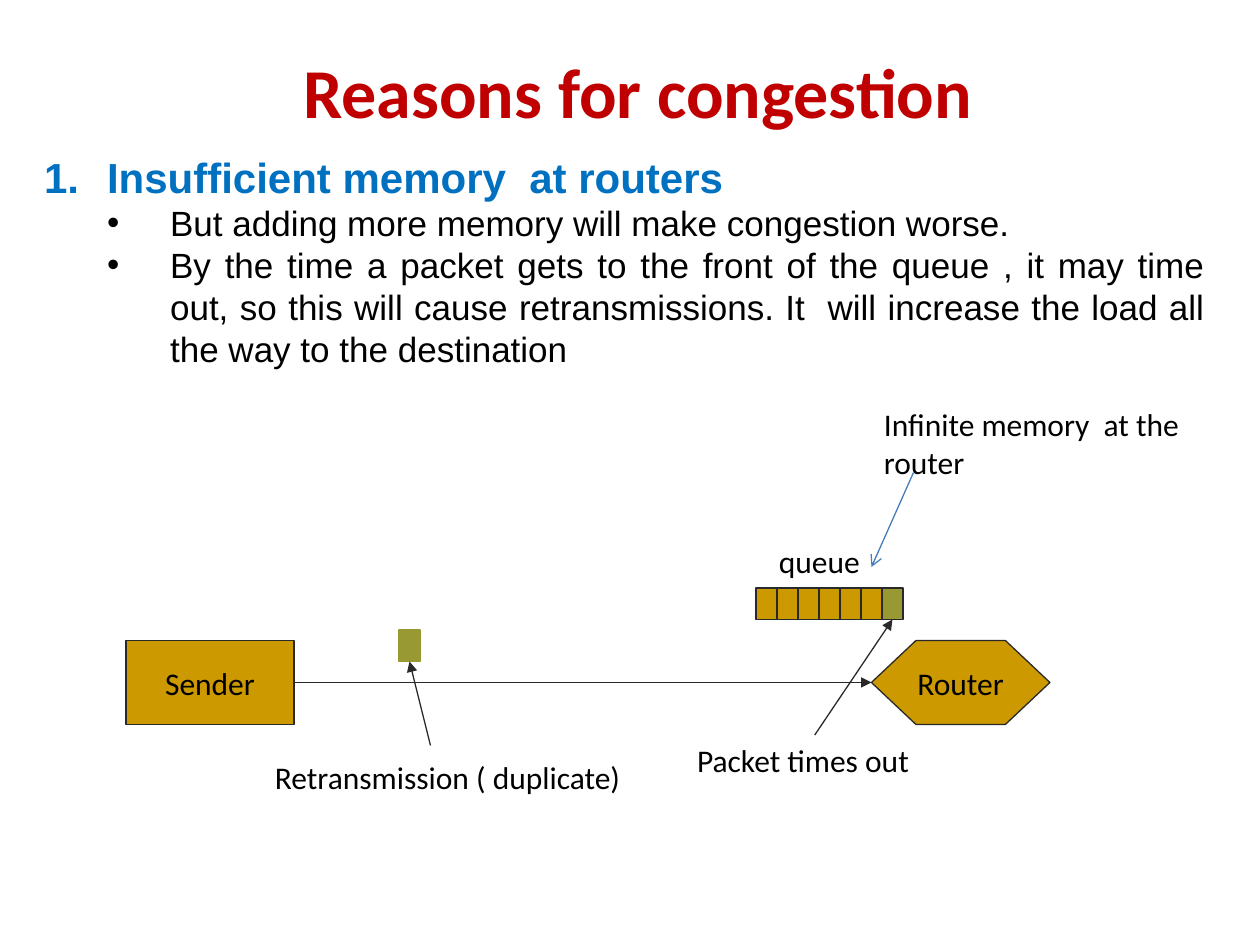
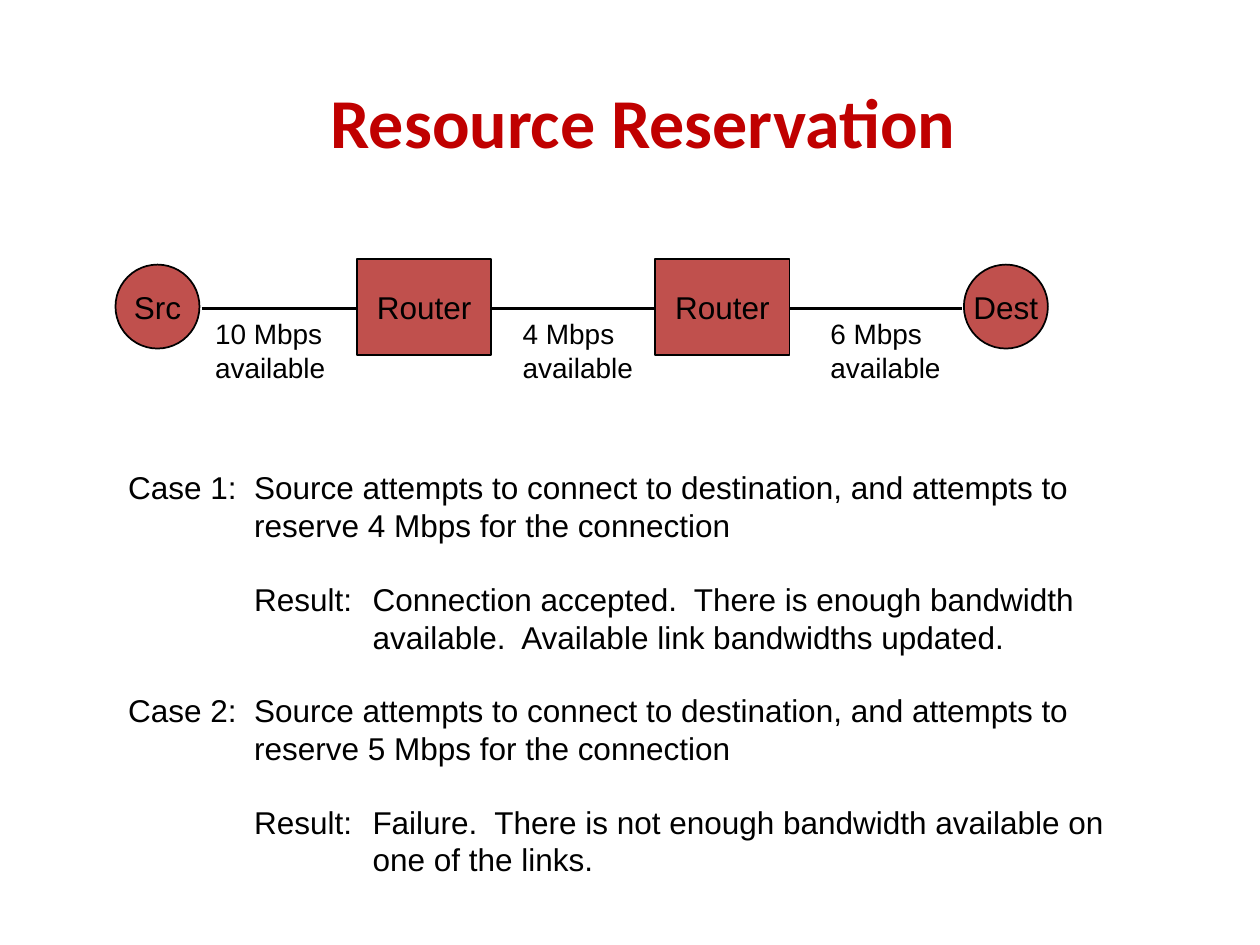
from lxml import etree
from pptx import Presentation
from pptx.dml.color import RGBColor
from pptx.enum.shapes import MSO_CONNECTOR, MSO_SHAPE
from pptx.enum.text import MSO_ANCHOR, MSO_AUTO_SIZE, PP_ALIGN
from pptx.oxml.ns import qn
from pptx.util import Inches, Pt

RED = RGBColor(0xC0, 0x00, 0x00)
BLUE = RGBColor(0x00, 0x70, 0xC0)
STEEL = RGBColor(0x4A, 0x7E, 0xBB)
BLACK = RGBColor(0x00, 0x00, 0x00)
INK = RGBColor(0x29, 0x29, 0x29)
GOLD = RGBColor(0xCC, 0x99, 0x00)
OLIVE = RGBColor(0x99, 0x99, 0x33)
BRICK = RGBColor(0xC0, 0x50, 0x4D)

RECT, HEX, OVAL = MSO_SHAPE.RECTANGLE, MSO_SHAPE.HEXAGON, MSO_SHAPE.OVAL
STRAIGHT = MSO_CONNECTOR.STRAIGHT
LEFT, MID, FULL = PP_ALIGN.LEFT, PP_ALIGN.CENTER, PP_ALIGN.JUSTIFY
TOP, CENTER = MSO_ANCHOR.TOP, MSO_ANCHOR.MIDDLE
FIXED = MSO_AUTO_SIZE.NONE
SANS, HEAD = "Arial", "Calibri"
WIDE, HIGH = Inches(10), Inches(7.5)
COLS, ROWS = 120, 90


def across(col):
    return round(WIDE * col / COLS)


def down(row):
    return round(HIGH * row / ROWS)


def write(para, text, size=18, font=SANS, color=BLACK, bold=False, align=LEFT,
          space=1, gap=0, level=0, left=0, hang=0, mark=None):
    para.alignment, para.level = align, level
    para.line_spacing, para.space_before = space, Pt(gap)
    props = para._p.get_or_add_pPr()
    props.set("marL", str(Inches(left)))
    props.set("indent", str(Inches(-hang)))
    if mark is None:
        etree.SubElement(props, qn("a:buNone"))
    else:
        tint = etree.SubElement(props, qn("a:buClr"))
        etree.SubElement(tint, qn("a:srgbClr"), val=str(color))
        etree.SubElement(props, qn("a:buFont"), typeface=SANS)
        if mark == "1.":
            etree.SubElement(props, qn("a:buAutoNum"), type="arabicPeriod")
        else:
            etree.SubElement(props, qn("a:buChar"), char=mark)
    run = para.add_run()
    run.text = text
    face = run.font
    face.size, face.name, face.bold = Pt(size), font, bold
    face.color.rgb = color


class Deck:
    def __init__(self, font=SANS, line=BLACK, weight=1):
        self.show = Presentation()
        self.show.slide_width, self.show.slide_height = WIDE, HIGH
        self.style(font, line, weight)

    def style(self, font, line, weight):
        self.font, self.line, self.weight = font, line, weight

    def place(self, shape, col, row, wide, high):
        shape.left, shape.top = across(col), down(row)
        shape.width, shape.height = across(wide), down(high)

    def page(self, title, *spot):
        self.slide = self.show.slides.add_slide(self.show.slide_layouts[1])
        head = self.slide.shapes.title
        self.place(head, *spot)
        frame = head.text_frame
        frame.auto_size, frame.vertical_anchor = FIXED, CENTER
        write(frame.paragraphs[0], title, size=40, font=HEAD, color=RED,
              bold=True, align=MID, space=1.5)

    def fill(self, frame, items):
        for i, (text, form) in enumerate(items):
            para = frame.add_paragraph() if i else frame.paragraphs[0]
            write(para, text, **form)

    def body(self, items, *spot):
        shape = self.slide.placeholders[1]
        self.place(shape, *spot)
        frame = shape.text_frame
        frame.auto_size, frame.vertical_anchor = FIXED, TOP
        self.fill(frame, items)

    def label(self, lines, *spot, size=18):
        box = self.slide.shapes.add_textbox(0, 0, 0, 0)
        self.place(box, *spot)
        box.text_frame.word_wrap = True
        form = dict(size=size, font=self.font)
        self.fill(box.text_frame, [(line, form) for line in lines])

    def block(self, kind, color, *spot, text=None, line=None, bend=None):
        shape = self.slide.shapes.add_shape(kind, 0, 0, 0, 0)
        self.place(shape, *spot)
        shape.shadow.inherit = False
        shape.fill.solid()
        shape.fill.fore_color.rgb = color
        shape.line.color.rgb = line or self.line
        shape.line.width = Pt(self.weight)
        if bend:
            shape.adjustments[0] = bend
        if text:
            frame = shape.text_frame
            frame.word_wrap, frame.vertical_anchor = False, CENTER
            write(frame.paragraphs[0], text, font=self.font, align=MID)

    def link(self, start, end, color=None, weight=None, tip=None):
        wire = self.slide.shapes.add_connector(
            STRAIGHT, across(start[0]), down(start[1]), across(end[0]), down(end[1]))
        wire.line.color.rgb = color or self.line
        wire.line.width = Pt(weight or self.weight)
        if tip:
            etree.SubElement(wire.line._get_or_add_ln(), qn("a:tailEnd"), type=tip)
        etree.SubElement(wire._element.spPr, qn("a:effectLst"))


def reasons(deck):
    deck.style(HEAD, INK, 0.75)
    deck.page("Reasons for congestion", 3, 2.5, 115.5, 8.3)
    point = dict(size=20, align=FULL, level=1, left=1, hang=0.5, mark="•")
    deck.body([
        ("Insufficient memory  at routers",
         dict(size=24, color=BLUE, bold=True, align=FULL, space=2,
              left=0.5, hang=0.5, mark="1.")),
        ("But adding more memory will make congestion worse.", point),
        ("By the time a packet gets to the front of the queue , it may time out, "
         "so this will cause retransmissions. It  will increase the load all "
         "the way to the destination", point),
    ], 3, 9, 113, 26.9)

    deck.block(RECT, GOLD, 12, 61, 16, 8, text="Sender")
    deck.block(HEX, GOLD, 83, 61, 17, 8, text="Router", bend=0.53)
    deck.link((28, 65), (83, 65), tip="triangle")
    slots = 7
    for i in range(slots):
        deck.block(RECT, OLIVE if i == slots - 1 else GOLD, 72 + 2 * i, 56, 2, 3)
    deck.block(RECT, OLIVE, 38, 60, 2, 3, line=OLIVE)

    deck.label(["queue"], 73, 51, 11, 4.8)
    deck.label(["Retransmission ( duplicate)"], 25, 71.6, 36, 4.8)
    deck.label(["Packet times out"], 65.2, 70, 24.8, 4.8)
    deck.label(["Infinite memory  at the router"], 83, 38, 34, 8.4)
    deck.link((41, 71), (39, 63), tip="triangle")
    deck.link((77.6, 70), (85, 59), tip="triangle")
    deck.link((87, 45), (83, 54), color=STEEL, tip="arrow")


def reserve(deck):
    deck.style(SANS, BLACK, 1)
    deck.page("Resource Reservation", 5, 5, 112.5, 9)
    deck.link((19.2, 29.4), (91.6, 29.4), weight=2)
    for col in (34, 62.4):
        deck.block(RECT, BRICK, col, 24.7, 12.8, 9.1, text="Router")
    for col, name in ((11, "Src"), (91.8, "Dest")):
        deck.block(OVAL, BRICK, col, 25.2, 8, 8, text=name)
    for i, rate in enumerate((10, 4, 6)):
        deck.label([f"{rate} Mbps", "available"], 19.3 + 29.3 * i, 29.6, 14, 7.6, size=16)

    case = dict(left=1, hang=1)
    result = dict(left=1.94, hang=0.94, gap=20.5)
    ask = "Source attempts to connect to destination, and attempts to reserve {} Mbps for the connection"
    deck.body([
        ("Case 1:\t" + ask.format(4), case),
        ("Result:\tConnection accepted.  There is enough bandwidth available.  "
         "Available link bandwidths updated.", result),
        ("Case 2:\t" + ask.format(5), dict(case, gap=20.5)),
        ("Result:\tFailure.  There is not enough bandwidth available on one of the links.",
         result),
    ], 11, 44, 96, 40.8)


def main():
    deck = Deck()
    reasons(deck)
    reserve(deck)
    deck.show.save("out.pptx")


if __name__ == "__main__":
    main()
